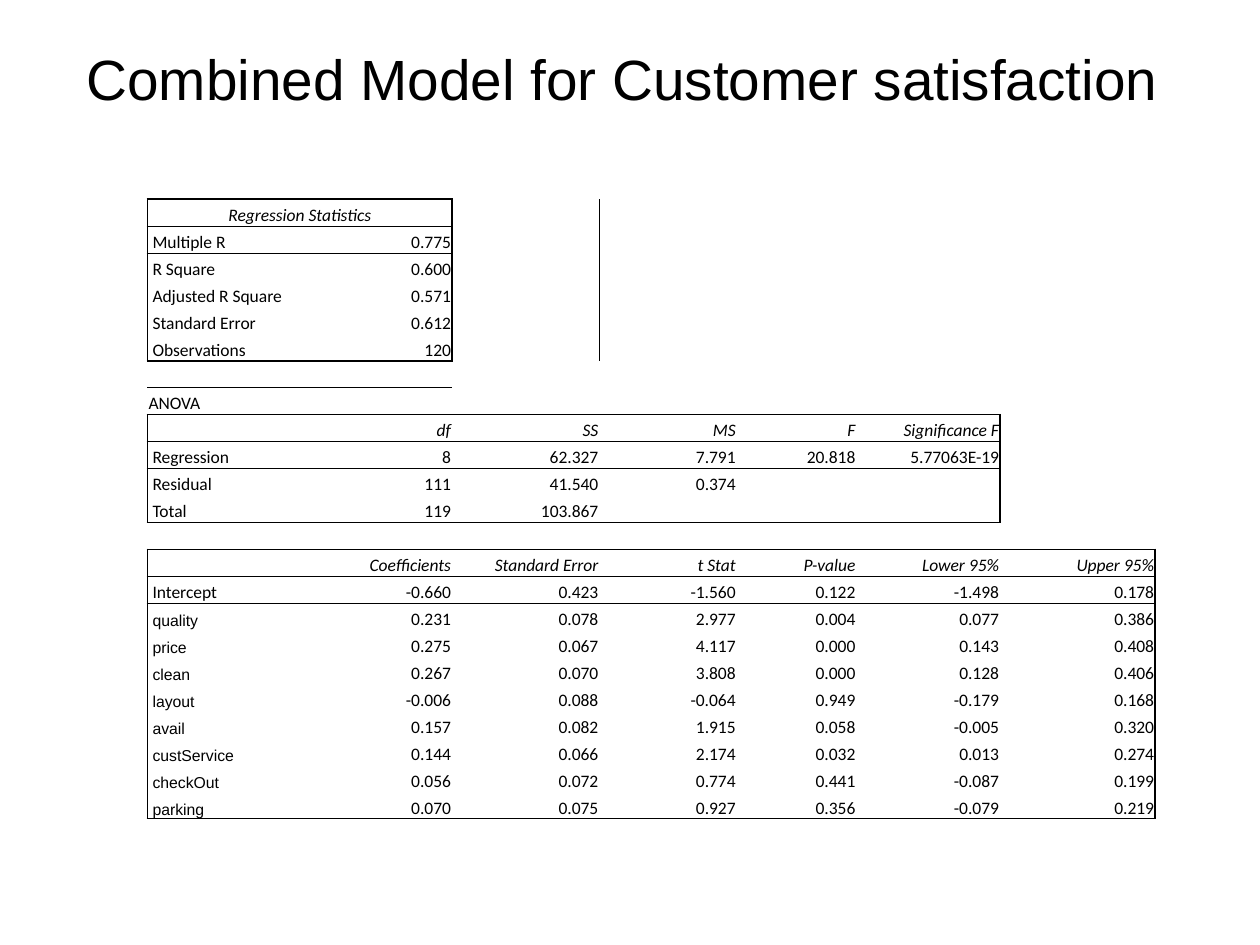
"""Build a slide with the regression output of the combined customer satisfaction model."""
from collections import defaultdict
from dataclasses import dataclass

from lxml.etree import SubElement
from pptx import Presentation
from pptx.dml.color import RGBColor
from pptx.enum.text import MSO_ANCHOR as Anchor, PP_ALIGN as Align
from pptx.oxml.ns import qn
from pptx.util import Pt


@dataclass(frozen=True)
class Theme:
    ink: RGBColor = RGBColor(0, 0, 0)
    title_font: str = "Arial"
    table_font: str = "Calibri"
    title_size: float = 32.4
    table_size: float = 10
    variable_size: float = 9
    frame_width: float = 1
    rule_width: float = 0.5


theme = Theme()
NO_STYLE = "{2D5ABB26-0587-4C30-8999-92F81FD0307C}"

column_widths = [87.1, 87.1, 84.2, 78.5, 68.4, 82.1, 88.6]
row_height = 15.4

summary = [
    ["Regression Statistics"],
    ["Multiple R", "0.775"],
    ["R Square", "0.600"],
    ["Adjusted R Square", "0.571"],
    ["Standard Error", "0.612"],
    ["Observations", "120"],
]
anova = [
    ["", "df", "SS", "MS", "F", "Significance F"],
    ["Regression", "8", "62.327", "7.791", "20.818", "5.77063E-19"],
    ["Residual", "111", "41.540", "0.374"],
    ["Total", "119", "103.867"],
]
coefficients = [
    ["", "Coefficients", "Standard Error", "t Stat", "P-value", "Lower 95%", "Upper 95%"],
    ["Intercept", "-0.660", "0.423", "-1.560", "0.122", "-1.498", "0.178"],
    ["quality", "0.231", "0.078", "2.977", "0.004", "0.077", "0.386"],
    ["price", "0.275", "0.067", "4.117", "0.000", "0.143", "0.408"],
    ["clean", "0.267", "0.070", "3.808", "0.000", "0.128", "0.406"],
    ["layout", "-0.006", "0.088", "-0.064", "0.949", "-0.179", "0.168"],
    ["avail", "0.157", "0.082", "1.915", "0.058", "-0.005", "0.320"],
    ["custService", "0.144", "0.066", "2.174", "0.032", "0.013", "0.274"],
    ["checkOut", "0.056", "0.072", "0.774", "0.441", "-0.087", "0.199"],
    ["parking", "0.070", "0.075", "0.927", "0.356", "-0.079", "0.219"],
]
lines = summary + [[], ["ANOVA"]] + anova + [[]] + coefficients
anova_top = len(summary) + 2
coefficients_top = anova_top + len(anova) + 1
blocks = [(0, summary, 2), (anova_top, anova, 6), (coefficients_top, coefficients, 7)]
header_rows = [top for top, _, _ in blocks]
first_variable_row = coefficients_top + 2

borders = defaultdict(dict)


def add_edge(row, column, side, width):
    row_step, column_step, facing = {
        "L": (0, -1, "R"), "R": (0, 1, "L"), "T": (-1, 0, "B"), "B": (1, 0, "T"),
    }[side]
    borders[row, column][side] = width
    borders[row + row_step, column + column_step][facing] = width


for top, block, column_count in blocks:
    bottom = top + len(block) - 1
    for column in range(column_count):
        add_edge(top, column, "T", theme.frame_width)
        add_edge(top, column, "B", theme.rule_width)
        add_edge(bottom, column, "B", theme.frame_width)
    for row in range(top, bottom + 1):
        add_edge(row, 0, "L", theme.frame_width)
        add_edge(row, column_count - 1, "R", theme.frame_width)
borders[0, 0]["R"] = theme.frame_width

presentation = Presentation()
presentation.slide_width, presentation.slide_height = Pt(720), Pt(540)
slide = presentation.slides.add_slide(presentation.slide_layouts[5])

title = slide.shapes.title
title.left, title.top, title.width, title.height = Pt(36), Pt(21.6), Pt(648), Pt(90)
title.text_frame.text = "Combined Model for Customer satisfaction "
title.text_frame.vertical_anchor = Anchor.TOP
heading = title.text_frame.paragraphs[0]
heading.alignment = Align.CENTER
heading.font.name = theme.title_font
heading.font.size = Pt(theme.title_size)
heading.font.color.rgb = theme.ink

regression_frame = slide.shapes.add_table(
    len(lines), len(column_widths), Pt(84.2), Pt(113.8),
    Pt(sum(column_widths)), Pt(row_height * len(lines)))
regression = regression_frame.table
regression.first_row = regression.horz_banding = False
regression._tbl.tblPr.find(qn("a:tableStyleId")).text = NO_STYLE
for table_column, width in zip(regression.columns, column_widths):
    table_column.width = Pt(width)
for table_row in regression.rows:
    table_row.height = Pt(row_height)
regression.cell(0, 0).merge(regression.cell(0, 1))

for row, line in enumerate(lines):
    for column in range(len(column_widths)):
        cell = regression.cell(row, column)
        text = line[column] if column < len(line) else ""
        is_header = row in header_rows
        is_label = column == 0 and not is_header
        is_variable = is_label and row >= first_variable_row
        size = theme.variable_size if is_variable else theme.table_size

        cell.text = text
        cell.vertical_anchor = Anchor.BOTTOM
        cell.margin_left = Pt(3 if is_label and text != "ANOVA" else 0.7)
        cell.margin_right = cell.margin_top = Pt(0.7)
        cell.margin_bottom = Pt(0)
        cell.fill.background()

        entry = cell.text_frame.paragraphs[0]
        entry.alignment = Align.LEFT if is_label else Align.CENTER if row == 0 else Align.RIGHT
        entry.font.name = theme.title_font if is_variable else theme.table_font
        entry.font.size = Pt(size)
        entry.font.italic = is_header
        entry.font.color.rgb = theme.ink
        if not text:
            SubElement(entry._p, qn("a:endParaRPr"), sz=str(size * 100))

        properties = cell._tc.get_or_add_tcPr()
        edges = [side for side in "LRTB" if side in borders[row, column]]
        for position, side in enumerate(edges):
            edge = SubElement(properties, qn(f"a:ln{side}"), w=str(Pt(borders[row, column][side])))
            ink_fill = SubElement(edge, qn("a:solidFill"))
            SubElement(ink_fill, qn("a:srgbClr"), val=str(theme.ink))
            properties.insert(position, edge)

presentation.save("out.pptx")
